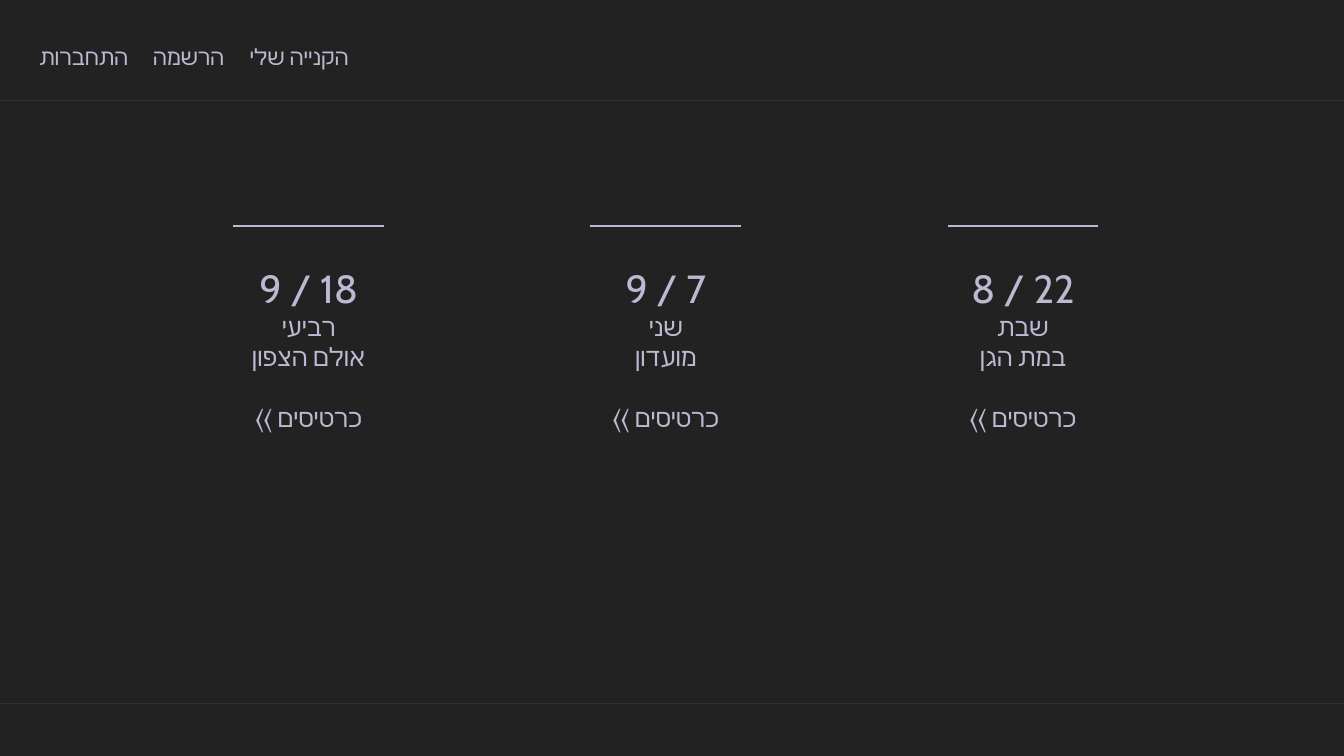
from lxml.etree import SubElement
from pptx import Presentation
from pptx.dml.color import RGBColor
from pptx.enum.shapes import MSO_CONNECTOR, MSO_SHAPE
from pptx.enum.text import MSO_AUTO_SIZE, PP_ALIGN
from pptx.oxml.ns import qn
from pptx.util import Cm, Pt

HUES = {"back": "222222", "edge": "525252", "text": "BCBAD3"}
FONT = "Cabin"
MENU = [("התחברות", 0.3, 3.18), ("הרשמה", 2.72, 3.18), ("הקנייה שלי", 5.66, 3.38)]
SHOWS = [
    ("18 / 9", "רביעי", "אולם הצפון", 4.62),
    ("7 / 9", "שני", "מועדון", 3.8),
    ("22 / 8", "שבת", "במת הגן", 3.8),
]
TICKET = "כרטיסים ⟩⟩"
FIRST, STEP, RULE = 7.78, 9, 3.8


def hue(name):
    """Return the named colour."""
    return RGBColor.from_string(HUES[name])


def add_bar(slide, left, top):
    """Add a page-wide band with a faint edge."""
    bar = slide.shapes.add_shape(MSO_SHAPE.RECTANGLE, Cm(left), Cm(top), Cm(35.05), Cm(3.5))
    bar.shadow.inherit = False
    bar.fill.solid()
    bar.fill.fore_color.rgb = hue("back")
    bar.line.color.rgb = hue("edge")
    bar.line.width = Pt(0.25)
    tint = bar.line._get_or_add_ln().find(".//" + qn("a:srgbClr"))
    SubElement(tint, qn("a:alpha")).set("val", "50000")


def add_text(shapes, box, lines, align):
    """Add right-to-left lines, each given as text, size and space before."""
    frame = shapes.add_textbox(*map(Cm, box)).text_frame
    frame.word_wrap = True
    frame.auto_size = MSO_AUTO_SIZE.SHAPE_TO_FIT_TEXT
    for i, (text, size, gap) in enumerate(lines):
        para = frame.add_paragraph() if i else frame.paragraphs[0]
        para.alignment = align
        para.space_before = Pt(gap)
        para._p.get_or_add_pPr().set("rtl", "1")
        run = para.add_run()
        run.text = text
        run.font.size = Pt(size)
        run.font.color.rgb = hue("text")
        run.font.name = FONT
        SubElement(run._r.get_or_add_rPr(), qn("a:cs")).set("typeface", FONT)


def add_rule(shapes, left, top, width):
    """Add a level line."""
    rule = shapes.add_connector(
        MSO_CONNECTOR.STRAIGHT, Cm(left), Cm(top), Cm(left + width), Cm(top))
    rule.line.color.rgb = hue("text")
    rule.line.width = Pt(1.5)
    SubElement(rule._element.spPr, qn("a:effectLst"))


def add_show(slide, mid, show):
    """Add one grouped show, centred on mid."""
    date, day, place, width = show
    shapes = slide.shapes.add_group_shape().shapes
    lines = [(date, 28, 0), (day, 18, 0), (place, 18, 0), (TICKET, 18, 22)]
    add_text(shapes, (mid - width / 2, 6.53, width, 4.52), lines, PP_ALIGN.CENTER)
    add_rule(shapes, mid - RULE / 2, 5.69, RULE)


def main():
    """Build and save the slide."""
    deck = Presentation()
    deck.slide_width, deck.slide_height = Cm(33.87), Cm(19.05)
    slide = deck.slides.add_slide(deck.slide_layouts[6])
    slide.background.fill.solid()
    slide.background.fill.fore_color.rgb = hue("back")
    add_bar(slide, -0.51, -0.97)
    for text, left, width in MENU:
        add_text(slide.shapes, (left, 0.97, width, 0.94), [(text, 16, 0)], PP_ALIGN.RIGHT)
    for i, show in enumerate(SHOWS):
        add_show(slide, FIRST + i * STEP, show)
    add_bar(slide, -0.76, 17.73)
    deck.save("out.pptx")


if __name__ == "__main__":
    main()
